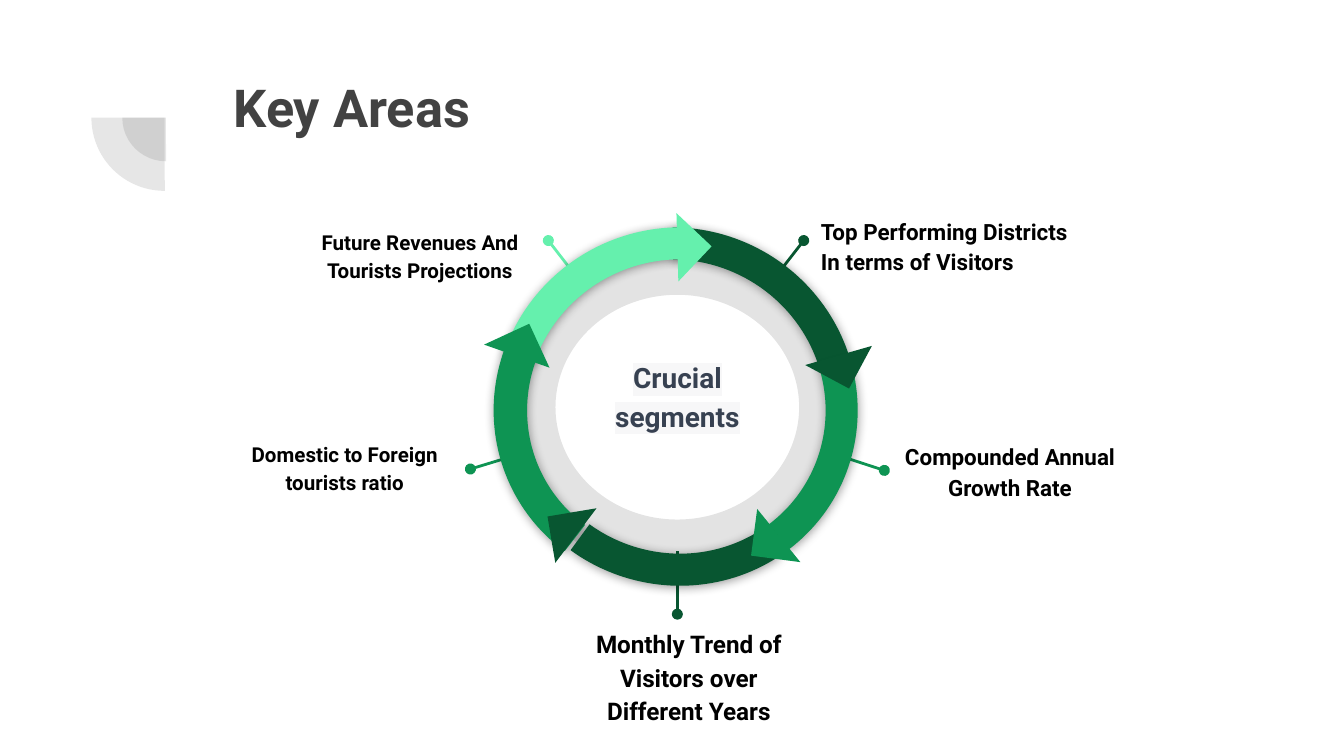
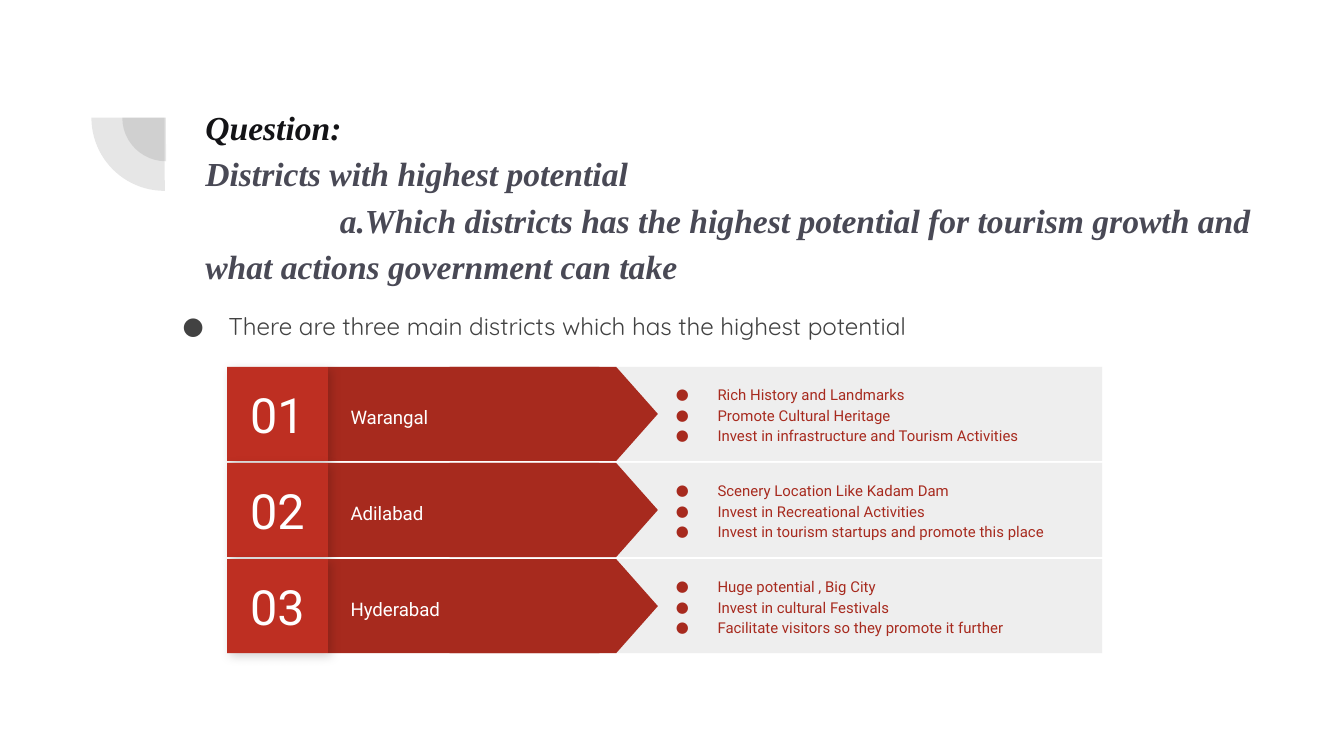
import pptx
import pptx.util
import pptx.dml.color
import pptx.enum.shapes
import pptx.enum.text
import pptx.oxml
import pptx.oxml.ns

Inches = pptx.util.Inches
Pt = pptx.util.Pt
MSO = pptx.enum.shapes.MSO_SHAPE
ALIGN = pptx.enum.text.PP_ALIGN
ANCHOR = pptx.enum.text.MSO_ANCHOR
qn = pptx.oxml.ns.qn

GRAY, DARK, GREEN, MINT = "424242", "085631", "0E9453", "65F0AD"
RED, BRIGHT_RED, PALE, WHITE, BLACK = "A72A1E", "BE2F22", "EEEEEE", "FFFFFF", "000000"
RING = (3.67, 1.7, 2.72, 2.65)
RING_SHADOW = (40, 5.6, 0.8, 90)
NUMBER_SHADOW = (17, 5.6, 2.2, 45)


def rgb(color):
    return pptx.dml.color.RGBColor.from_string(color)


def xml(tag, body="", **attrs):
    """Return a DrawingML element with the given attributes and inner XML."""
    listed = "".join(f' {k}="{v}"' for k, v in attrs.items())
    return pptx.oxml.parse_xml(
        f'<a:{tag} {pptx.oxml.ns.nsdecls("a")}{listed}>{body}</a:{tag}>')


def add_shape(s, kind, box, color, rot=0, flip=False, adj=(), alpha=None, shadow=None):
    """Add a filled shape; alpha is in percent, shadow is (alpha, blur, distance, angle)."""
    sp = s.shapes.add_shape(kind, *map(Inches, box))
    for i, value in enumerate(adj):
        sp.adjustments[i] = value
    sp.rotation = rot
    sp.fill.solid()
    sp.fill.fore_color.rgb = rgb(color)
    sp.line.fill.background()
    sp.shadow.inherit = False
    spPr = sp._element.spPr
    if flip:
        spPr.xfrm.set("flipH", "1")
    if alpha:
        spPr.find(qn("a:solidFill"))[0].append(xml("alpha", val=alpha * 1000))
    if shadow:
        opacity, blur, dist, angle = shadow
        spPr.find(qn("a:effectLst")).append(xml(
            "outerShdw",
            f'<a:srgbClr val="{BLACK}"><a:alpha val="{opacity * 1000}"/></a:srgbClr>',
            blurRad=int(Pt(blur)), dist=int(Pt(dist)), dir=angle * 60000,
            algn="bl", rotWithShape=0))
    return sp


def write(sp, lines, size, color, font="Roboto", bold=False, italic=False,
          align=ALIGN.LEFT, anchor=ANCHOR.TOP, spacing=1.15):
    tf = sp.text_frame
    tf.word_wrap = True
    tf.vertical_anchor = anchor
    tf.margin_left = tf.margin_right = tf.margin_top = tf.margin_bottom = Inches(0.1)
    for i, line in enumerate(lines):
        p = tf.add_paragraph() if i else tf.paragraphs[0]
        p.text = line
        p.alignment = align
        p.line_spacing = spacing
        for r in p.runs:
            r.font.name = font
            r.font.size = Pt(size)
            r.font.bold = bold
            r.font.italic = italic
            r.font.color.rgb = rgb(color)
    return tf


def add_text(s, box, lines, size, color, **style):
    return write(s.shapes.add_textbox(*map(Inches, box)), lines, size, color, **style)


def add_bullets(tf, color, hanging, font):
    for p in tf.paragraphs:
        pPr = p._p.get_or_add_pPr()
        pPr.set("marL", str(int(Inches(0.5))))
        pPr.set("indent", str(-int(Inches(hanging))))
        pPr.append(xml("buClr", f'<a:srgbClr val="{color}"/>'))
        pPr.append(xml("buFont", typeface=font))
        pPr.append(xml("buChar", char="●"))


def add_pin(s, start, end, color):
    """Add a line whose start carries a round dot."""
    c = s.shapes.add_connector(pptx.enum.shapes.MSO_CONNECTOR.STRAIGHT,
                               *map(Inches, start + end))
    c.line.color.rgb = rgb(color)
    c.line.width = Pt(1.5)
    c.line._get_or_add_ln().append(xml("headEnd", type="oval"))
    c._element.spPr.append(xml("effectLst"))


def add_slide(prs):
    """Add a blank slide with the shared quarter-circle mark."""
    s = prs.slides.add_slide(prs.slide_layouts[6])
    s.background.fill.solid()
    s.background.fill.fore_color.rgb = rgb(WHITE)
    for x, y, size in ((0.91, 0.55, 0.65), (0.68, 0.33, 1.09)):
        add_shape(s, MSO.PIE, (x, y, size, size), GRAY, rot=270,
                  adj=(107.93, 162), alpha=13)
    return s


def build_key_areas(prs):
    s = add_slide(prs)
    add_text(s, (1.64, 0.46, 3.77, 0.78), ["Key Areas"], 28, GRAY, bold=True, spacing=1)
    add_shape(s, MSO.DONUT, (3.74, 1.8, 2.6, 2.46), BLACK, adj=(0.16,), alpha=11)

    pins = [
        ((5.98, 1.79), (5.7, 2.15), DARK),
        ((4.08, 1.79), (4.36, 2.15), MINT),
        ((6.58, 3.5), (6.12, 3.35), GREEN),
        ((3.5, 3.49), (3.96, 3.35), GREEN),
        ((5.04, 4.57), (5.04, 4.1), DARK),
    ]
    for pin in pins:
        add_pin(s, *pin)

    add_text(s, (6.01, 1.49, 2.22, 0.6),
             ["Top Performing Districts", "In terms of Visitors"], 12, BLACK, bold=True)
    tf = add_text(s, (2.2, 1.49, 1.85, 0.65), ["Future Revenues And Tourists Projections"],
                  11, BLACK, bold=True, align=ALIGN.CENTER, anchor=ANCHOR.MIDDLE)
    tf.margin_top = Inches(0.26)
    labels = [
        ((6.59, 3.17, 1.85, 0.65), "Compounded Annual Growth Rate", 12),
        ((1.64, 3.16, 1.85, 0.65), "Domestic to Foreign tourists ratio", 11),
        ((4.26, 4.55, 1.73, 0.93), "Monthly Trend of Visitors over Different Years", 13),
    ]
    for box, label, size in labels:
        add_text(s, box, [label], size, BLACK, bold=True, align=ALIGN.CENTER)

    arcs = [
        (DARK, 28.7, False, (144.14, 189.99, 0.09), False),
        (GREEN, 208.6, True, (201.79, 26.24, 0.09), False),
        (MINT, 331.3, True, (143.34, 188.55, 0.09), False),
        (GREEN, 151.4, False, (201.85, 30.07, 0.09), True),
        (DARK, 208.6, True, (157.39, 200.08, 0.09), False),
    ]
    for color, rot, flip, adj, outlined in arcs:
        sp = add_shape(s, MSO.BLOCK_ARC, RING, color, rot, flip, adj, shadow=RING_SHADOW)
        if outlined:
            sp.line.color.rgb = rgb(color)
            sp.line.width = Pt(0.75)

    arrow_tips = [
        ((6.06, 2.46, 0.36, 0.37), DARK, 298.2),
        ((3.66, 2.47, 0.37, 0.36), GREEN, 155.2),
        ((5.61, 3.81, 0.37, 0.35), GREEN, 7.5),
        ((4.11, 3.8, 0.35, 0.37), DARK, 80.5),
        ((4.86, 1.66, 0.36, 0.36), MINT, 223.4),
    ]
    for box, color, rot in arrow_tips:
        add_shape(s, MSO.RIGHT_TRIANGLE, box, color, rot)

    tf = add_text(s, (4.3, 2.66, 1.48, 0.78), ["Crucial segments"], 15, "374151",
                  bold=True, align=ALIGN.CENTER, anchor=ANCHOR.MIDDLE)
    tf.margin_bottom = Inches(0.33)
    fill = tf.paragraphs[0].runs[0]._r.rPr.find(qn("a:solidFill"))
    fill.addnext(xml("highlight", '<a:srgbClr val="F7F7F8"/>'))


def add_district(s, top, number, name, actions):
    """Add one row: number, district name on an arrow, and its list of actions."""
    height = 0.7
    add_shape(s, MSO.RECTANGLE, (4.02, top, 4.18, height), PALE)
    add_shape(s, MSO.RECTANGLE, (2.44, top, 2.02, height), RED, flip=True)
    length = 1.55
    add_shape(s, MSO.FLOWCHART_OFFPAGE_CONNECTOR,
              (3.77, top + (height - length) / 2, height, length), RED, rot=270)
    add_text(s, (2.51, top + 0.09, 2.12, 0.54), [name], 10, WHITE, anchor=ANCHOR.MIDDLE)
    sp = add_shape(s, MSO.RECTANGLE, (1.69, top, 0.75, height), BRIGHT_RED,
                   shadow=NUMBER_SHADOW)
    write(sp, [f"{number:02}"], 26, WHITE, align=ALIGN.CENTER,
          anchor=ANCHOR.MIDDLE, spacing=1)
    tf = add_text(s, (4.74, top, 3.25, height), actions, 8, RED, anchor=ANCHOR.MIDDLE)
    add_bullets(tf, RED, 0.31, "Roboto")


def build_districts(prs):
    s = add_slide(prs)
    tf = add_text(s, (1.43, 0.65, 8.24, 1.52), [
        "Question:",
        "Districts with highest potential",
        "a.Which districts has the highest potential for tourism growth and "
        "what actions government can take",
    ], 18, "494955", font="Times New Roman", bold=True, italic=True)
    tf.paragraphs[0].runs[0].font.color.rgb = rgb("131316")
    tf.paragraphs[2]._p.get_or_add_pPr().set("indent", str(int(Inches(1))))

    tf = add_text(s, (1.1, 2.18, 7.69, 2.78),
                  ["There are three main districts which has the highest potential"],
                  13, GRAY, font="Quicksand")
    add_bullets(tf, GRAY, 0.34, "Quicksand")

    districts = [
        ("Warangal", ["Rich History and Landmarks", "Promote Cultural Heritage",
                      "Invest in infrastructure and Tourism Activities"]),
        ("Adilabad", ["Scenery Location Like Kadam Dam", "Invest in Recreational Activities",
                      "Invest in tourism startups and promote this place"]),
        ("Hyderabad", ["Huge potential , Big City", "Invest in cultural Festivals",
                       "Facilitate visitors so they promote it further"]),
    ]
    first_top, last_top = 2.73, 4.16
    step = (last_top - first_top) / (len(districts) - 1)
    for i, (name, actions) in enumerate(districts):
        add_district(s, first_top + i * step, i + 1, name, actions)


def main():
    prs = pptx.Presentation()
    prs.slide_width = Inches(10)
    prs.slide_height = prs.slide_width * 9 // 16
    build_key_areas(prs)
    build_districts(prs)
    prs.save("out.pptx")


if __name__ == "__main__":
    main()
